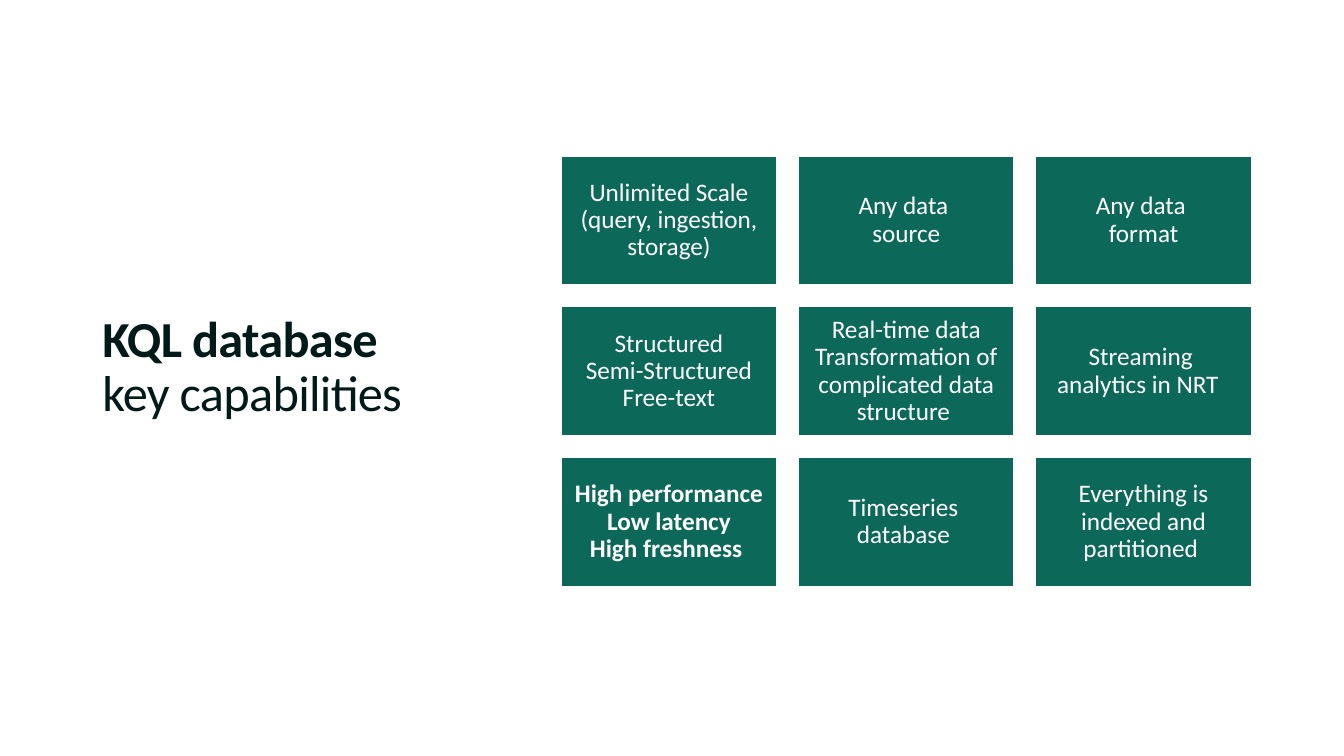
from pptx import Presentation
from pptx.dml.color import RGBColor
from pptx.enum.shapes import MSO_SHAPE as Shape
from pptx.enum.text import MSO_ANCHOR as Anchor, PP_ALIGN as Align
from pptx.util import Cm, Pt

GREEN = RGBColor(0x0C, 0x69, 0x59)
INK = RGBColor(0x00, 0x19, 0x19)
WHITE = RGBColor(0xFF, 0xFF, 0xFF)

# Capability text lines, row by row
CAPABILITIES = [
    [["Unlimited Scale (query, ingestion, storage)"],
     ["Any data ", "source"],
     ["Any data ", "format"]],
    [["Structured", "Semi-Structured", "Free-text"],
     ["Real-time data Transformation of complicated data structure "],
     ["Streaming ", "analytics in NRT  "]],
    [["High performance", "Low latency", "High freshness "],
     ["Timeseries ", "database "],
     ["Everything is indexed and partitioned "]],
]
BOLD_CELL = (2, 0)

# Card grid, in centimetres
GRID_LEFT, GRID_TOP = 14.14, 3.93
CARD_WIDTH, CARD_HEIGHT = 5.44, 3.25
STEP_X, STEP_Y = 5.98, 3.8


class Page:
    """Style and current slide."""
    font = "Calibri"
    line_spacing = 0.9

    def __init__(self, deck):
        self.slide = deck.slides.add_slide(deck.slide_layouts[6])

    def add_lines(self, frame, lines, size, color, align, tracking=None):
        """Fill a frame with (text, bold) lines joined by line breaks."""
        frame.word_wrap = True
        frame.vertical_anchor = Anchor.MIDDLE
        para = frame.paragraphs[0]
        para.alignment = align
        para.line_spacing = self.line_spacing
        for index, (text, bold) in enumerate(lines):
            if index:
                para.add_line_break()
            span = para.add_run()
            span.text = text
            span.font.name = self.font
            span.font.size = Pt(size)
            span.font.bold = bold
            span.font.color.rgb = color
            if tracking is not None:
                span._r.get_or_add_rPr().set("spc", str(tracking))

    def title(self, lines, left, top, width, height):
        box = self.slide.shapes.add_textbox(Cm(left), Cm(top), Cm(width), Cm(height))
        self.add_lines(box.text_frame, lines, 36, INK, Align.LEFT, tracking=-50)

    def card(self, lines, left, top):
        box = self.slide.shapes.add_shape(
            Shape.RECTANGLE, Cm(left), Cm(top), Cm(CARD_WIDTH), Cm(CARD_HEIGHT))
        box.shadow.inherit = False
        box.fill.solid()
        box.fill.fore_color.rgb = GREEN
        box.line.color.rgb = WHITE
        box.line.width = Pt(1)
        frame = box.text_frame
        frame.margin_left = frame.margin_right = Cm(0.18)
        frame.margin_top = frame.margin_bottom = Cm(0.18)
        self.add_lines(frame, lines, 18, WHITE, Align.CENTER)


def main():
    deck = Presentation()
    deck.slide_width, deck.slide_height = Cm(33.87), Cm(19.05)
    page = Page(deck)

    # Title
    page.title([("KQL database", True), ("key capabilities", False)],
               2.33, 1.55, 9.37, 15.47)

    # Capability cards
    for row, cells in enumerate(CAPABILITIES):
        for column, texts in enumerate(cells):
            bold = (row, column) == BOLD_CELL
            page.card([(text, bold) for text in texts],
                      GRID_LEFT + column * STEP_X, GRID_TOP + row * STEP_Y)

    deck.save("out.pptx")


if __name__ == "__main__":
    main()
